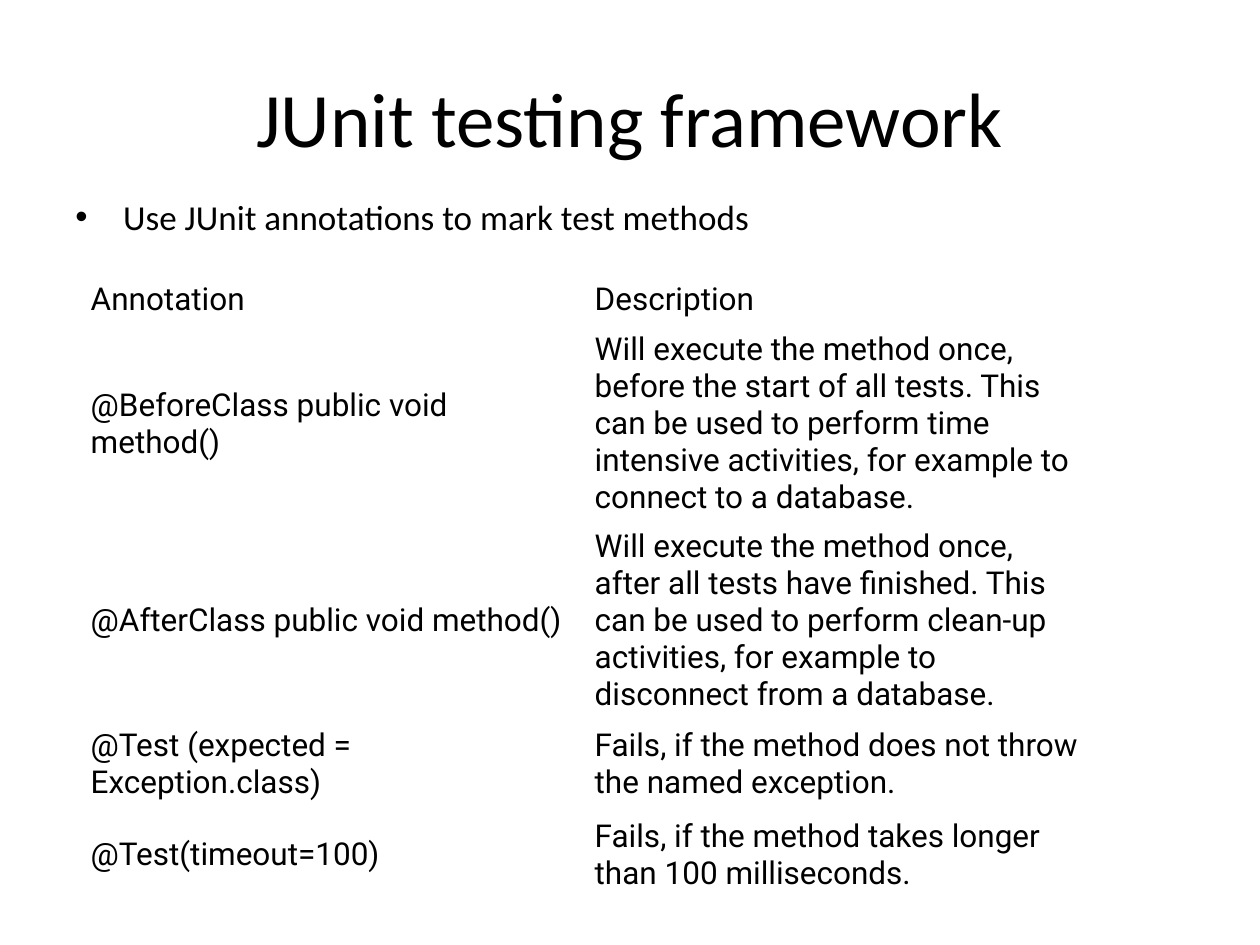
from dataclasses import dataclass
from typing import NamedTuple

from lxml import etree
from pptx import Presentation
from pptx import util as u
from pptx.dml.color import RGBColor
from pptx.enum import text
from pptx.oxml.ns import qn


@dataclass(frozen=True)
class Theme:
    ink: RGBColor = RGBColor(0, 0, 0)
    paper: RGBColor = RGBColor(255, 255, 255)
    heading_font: str = "Calibri"
    table_font: str = "Roboto"
    title_size: int = 44
    bullet_size: int = 20
    table_size: int = 18


class Box(NamedTuple):
    """Left, top, width and height as shares of the slide's size."""
    left: float
    top: float
    width: float
    height: float


class Entry(NamedTuple):
    annotation: str
    description: str
    height: float  # inches


THEME = Theme()
SLIDE_WIDTH, SLIDE_HEIGHT = u.Inches(10), u.Inches(7.5)
TITLE_BOX = Box(0.05, 0.04, 0.9, 1 / 6)
BULLET_BOX = Box(0.05, 0.2, 0.9, 0.66)
TABLE_BOX = Box(0.067, 0.29, 0.8, 0.6)
BULLET_INDENT = u.Inches(0.38)
CELL_SIDE, CELL_EDGE = u.Inches(0.05), u.Inches(0.03)

ENTRIES = [
    Entry("Annotation", "Description", 0.41),
    Entry("@BeforeClass public void method()",
          "Will execute the method once, before the start of all tests. "
          "This can be used to perform time intensive activities, "
          "for example to connect to a database.", 1.33),
    Entry("@AfterClass public void method()",
          "Will execute the method once, after all tests have finished. "
          "This can be used to perform clean-up activities, "
          "for example to disconnect from a database.", 1.33),
    Entry("@Test (expected = Exception.class)",
          "Fails, if the method does not throw the named exception.", 0.72),
    Entry("@Test(timeout=100)",
          "Fails, if the method takes longer than 100 milliseconds.", 0.72),
]


def to_lengths(box: Box) -> tuple:
    return (int(box.left * SLIDE_WIDTH), int(box.top * SLIDE_HEIGHT),
            int(box.width * SLIDE_WIDTH), int(box.height * SLIDE_HEIGHT))


def add_run(paragraph, words: str, font: str, size: int) -> None:
    run = paragraph.add_run()
    run.text = words
    run.font.name = font
    run.font.size = u.Pt(size)
    run.font.color.rgb = THEME.ink


def fill_title(title, words: str) -> None:
    title.left, title.top, title.width, title.height = to_lengths(TITLE_BOX)
    title.text_frame.vertical_anchor = text.MSO_ANCHOR.MIDDLE
    paragraph = title.text_frame.paragraphs[0]
    paragraph.alignment = text.PP_ALIGN.CENTER
    add_run(paragraph, words, THEME.heading_font, THEME.title_size)


def add_bullet(slide, words: str) -> None:
    frame = slide.shapes.add_textbox(*to_lengths(BULLET_BOX)).text_frame
    frame.word_wrap = True
    paragraph = frame.paragraphs[0]
    add_run(paragraph, words, THEME.heading_font, THEME.bullet_size)
    properties = paragraph._p.get_or_add_pPr()
    properties.set("marL", str(BULLET_INDENT))
    properties.set("indent", str(-BULLET_INDENT))
    etree.SubElement(properties, qn("a:buFont"), typeface="Arial")
    etree.SubElement(properties, qn("a:buChar"), char="•")


def fill_cell(cell, words: str) -> None:
    cell.fill.solid()
    cell.fill.fore_color.rgb = THEME.paper
    cell.vertical_anchor = text.MSO_ANCHOR.MIDDLE
    cell.margin_left = cell.margin_right = CELL_SIDE
    cell.margin_top = cell.margin_bottom = CELL_EDGE
    add_run(cell.text_frame.paragraphs[0], words, THEME.table_font, THEME.table_size)


def add_annotation_table(slide, entries: list[Entry]) -> None:
    table = slide.shapes.add_table(len(entries), 2, *to_lengths(TABLE_BOX)).table
    table.first_row = table.horz_banding = False
    for row, entry in zip(table.rows, entries):
        row.height = u.Inches(entry.height)
        for cell, words in zip(row.cells, (entry.annotation, entry.description)):
            fill_cell(cell, words)


def main() -> None:
    presentation = Presentation()
    presentation.slide_width, presentation.slide_height = SLIDE_WIDTH, SLIDE_HEIGHT
    title_only = presentation.slide_layouts.get_by_name("Title Only")
    slide = presentation.slides.add_slide(title_only)
    fill_title(slide.shapes.title, "JUnit testing framework")
    add_bullet(slide, "Use JUnit annotations to mark test methods")
    add_annotation_table(slide, ENTRIES)
    presentation.save("out.pptx")


if __name__ == "__main__":
    main()
